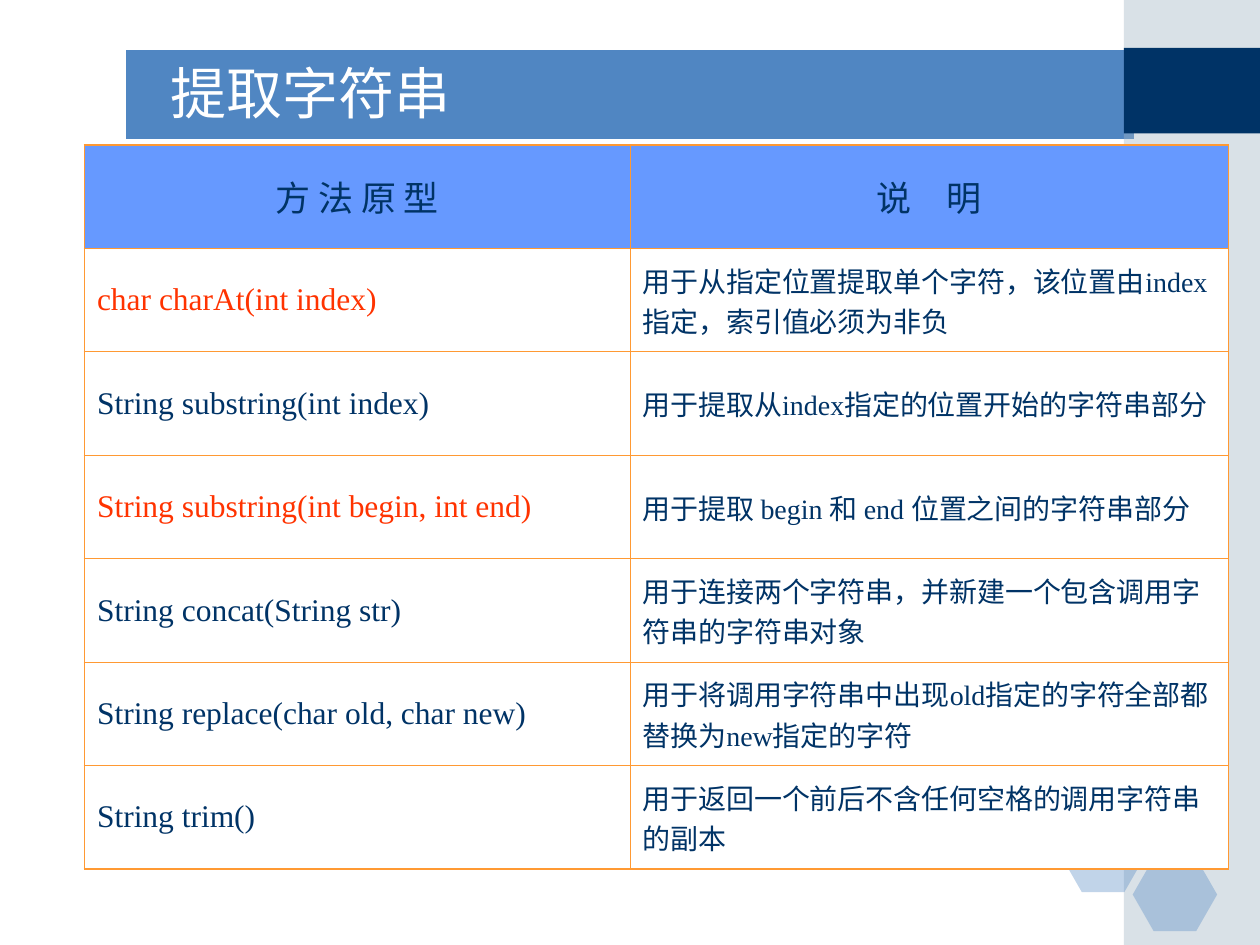
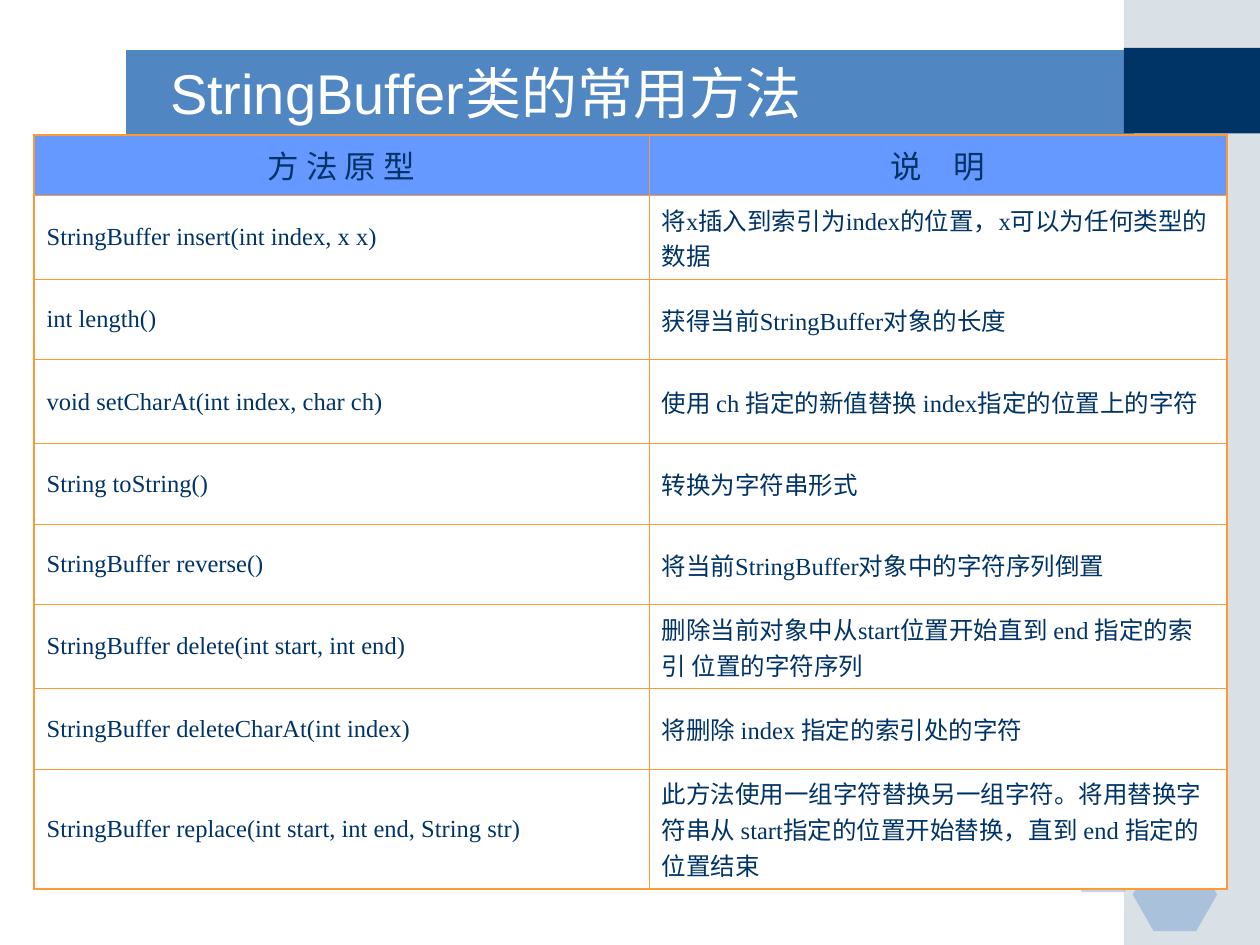
from lxml import etree
from pptx import Presentation
from pptx import util as u
from pptx.dml import color
from pptx.enum import lang, shapes, text
from pptx.oxml import ns

# Shared style
NAVY, BLUE, GREY, WHITE = "003366", "5086C2", "A0B5C4", "FFFFFF"
HEAD, EDGE, RED = "6699FF", "FF9933", "FF3300"
SANS, SERIF, MONO = "Arial", "Times New Roman", "Courier New"
THICK, THIN = 1.08, 0.45
COLS, ROWS = 100, 75

# Method tables: prototype, meaning
STRING = [
    ("char charAt(int index)", "用于从指定位置提取单个字符，该位置由index指定，索引值必须为非负"),
    ("String substring(int index)", "用于提取从index指定的位置开始的字符串部分"),
    ("String substring(int begin, int end)", "用于提取 begin 和 end 位置之间的字符串部分"),
    ("String concat(String str)", "用于连接两个字符串，并新建一个包含调用字符串的字符串对象"),
    ("String replace(char old, char new)", "用于将调用字符串中出现old指定的字符全部都替换为new指定的字符"),
    ("String trim()", "用于返回一个前后不含任何空格的调用字符串的副本"),
]
BUFFER = [
    ("StringBuffer insert(int index, x x)", "将x插入到索引为index的位置，x可以为任何类型的数据"),
    ("int length()", "获得当前StringBuffer对象的长度"),
    ("void setCharAt(int index, char ch)", "使用 ch 指定的新值替换 index指定的位置上的字符"),
    ("String toString()", "转换为字符串形式"),
    ("StringBuffer reverse()", "将当前StringBuffer对象中的字符序列倒置"),
    ("StringBuffer delete(int start, int end)", "删除当前对象中从start位置开始直到 end 指定的索引 位置的字符序列"),
    ("StringBuffer deleteCharAt(int index)", "将删除 index 指定的索引处的字符"),
    ("StringBuffer replace(int start, int end, String str)",
     "此方法使用一组字符替换另一组字符。将用替换字符串从 start指定的位置开始替换，直到 end 指定的位置结束"),
]


def rgb(code):
    return color.RGBColor.from_string(code)


def paint(item, code):
    item.fill.solid()
    item.fill.fore_color.rgb = rgb(code)


def write(frame, words, size=18, font=SERIF, ink=NAVY, align=text.PP_ALIGN.LEFT):
    para = frame.paragraphs[0]
    para.alignment = align
    run = para.add_run()
    run.text = words
    run.font.size, run.font.name = u.Pt(size), font
    run.font.color.rgb = rgb(ink)
    run.font.language_id = lang.MSO_LANGUAGE_ID.SIMPLIFIED_CHINESE


class Deck:
    def __init__(self):
        self.prs = Presentation()
        self.prs.slide_width, self.prs.slide_height = u.Inches(10), u.Inches(7.5)
        self.dx = self.prs.slide_width / COLS
        self.dy = self.prs.slide_height / ROWS

    def box(self, x, y, w, h):
        return [round(n) for n in (x * self.dx, y * self.dy, w * self.dx, h * self.dy)]

    def clean(self, shape, code, alpha=100):
        paint(shape, code)
        shape.line.fill.background()
        shape.shadow.inherit = False
        if alpha < 100:
            for tint in shape.element.iter(ns.qn("a:srgbClr")):
                etree.SubElement(tint, ns.qn("a:alpha")).set("val", str(alpha * 1000))

    def shape(self, kind, at, code, alpha=100):
        item = self.slide.shapes.add_shape(kind, *self.box(*at))
        self.clean(item, code, alpha)
        return item

    def band(self, points, code):
        path = self.slide.shapes.build_freeform(*points[0], scale=(self.dx, self.dy))
        path.add_line_segments(points[1:])
        self.clean(path.convert_to_shape(), code)

    def page(self, words):
        self.slide = self.prs.slides.add_slide(self.prs.slide_layouts[5])
        # Title band and side column
        self.band([(9.8, 3.8), (89.5, 3.8), (89.5, 10.6), (9.8, 10.7)], BLUE)
        rect = shapes.MSO_SHAPE.RECTANGLE
        self.shape(rect, (89.2, 0, 10.8, ROWS), GREY, 40)
        self.shape(rect, (89.2, 3.8, 10.8, 6.8), NAVY)
        # Hexagon cluster
        for x, y in ((84.2, 65), (90, 61.7), (89.9, 68.1)):
            hexa = self.shape(shapes.MSO_SHAPE.HEXAGON, (x, y, 6.7, 5.8), BLUE, 35)
            hexa.adjustments[0] = 0.286
        self.title(words)

    def title(self, words):
        item = self.slide.shapes.title
        self.slide.shapes.element.append(item.element)
        item.left, item.top, item.width, item.height = self.box(12.5, 4.2, 73.3, 6.2)
        frame = item.text_frame
        frame.auto_size = text.MSO_AUTO_SIZE.NONE
        frame.vertical_anchor = text.MSO_ANCHOR.MIDDLE
        write(frame, words, size=32, font=SANS, ink=WHITE)

    def edges(self, cell, sides):
        for spot, (side, width) in enumerate(sides.items()):
            line = etree.Element(ns.qn("a:ln" + side), w=str(u.Pt(width)))
            fill = etree.SubElement(line, ns.qn("a:solidFill"))
            etree.SubElement(fill, ns.qn("a:srgbClr"), val=EDGE)
            cell.find(ns.qn("a:tcPr")).insert(spot, line)

    def table(self, at, data, wide, tall, sizes, reds=()):
        """Draw a table; wide and tall are in grid units, sizes is (head, left, right)."""
        head, *body = sizes
        data = [("方 法 原 型", "说　明"), *data]
        last = len(data) - 1
        item = self.slide.shapes.add_table(len(data), 2, *self.box(*at, sum(wide), sum(tall)))
        grid = item.table
        grid.first_row = grid.horz_banding = False
        for col, width in zip(grid.columns, wide):
            col.width = round(width * self.dx)
        for row, height in zip(grid.rows, tall):
            row.height = round(height * self.dy)
        nodes = item.element.iter(ns.qn("a:tc"))
        for n, (cell, node) in enumerate(zip(grid.iter_cells(), nodes)):
            row, col = divmod(n, 2)
            cell.vertical_anchor = text.MSO_ANCHOR.MIDDLE
            paint(cell, WHITE if row else HEAD)
            self.edges(node, {"L": THIN if col else THICK, "R": THICK if col else THIN,
                              "T": THIN if row else THICK, "B": THICK if row == last else THIN})
            if row:
                ink = RED if row in reds and col == 0 else NAVY
                write(cell.text_frame, data[row][col], size=body[col], ink=ink)
            else:
                write(cell.text_frame, data[row][col], size=head, font=MONO,
                      align=text.PP_ALIGN.CENTER)


def main():
    deck = Deck()

    # Extracting strings
    deck.page("提取字符串")
    deck.table((6.7, 11.5), STRING, (43.3, 47.5), [8.21] * 7, (20, 18, 16), reds=(1, 3))

    # StringBuffer methods
    deck.page("StringBuffer类的常用方法")
    deck.table((2.7, 10.7), BUFFER, (48.8, 45.9), [4.8, *[6.38] * 7, 8], (18, 14, 14))

    deck.prs.save("out.pptx")


if __name__ == "__main__":
    main()
